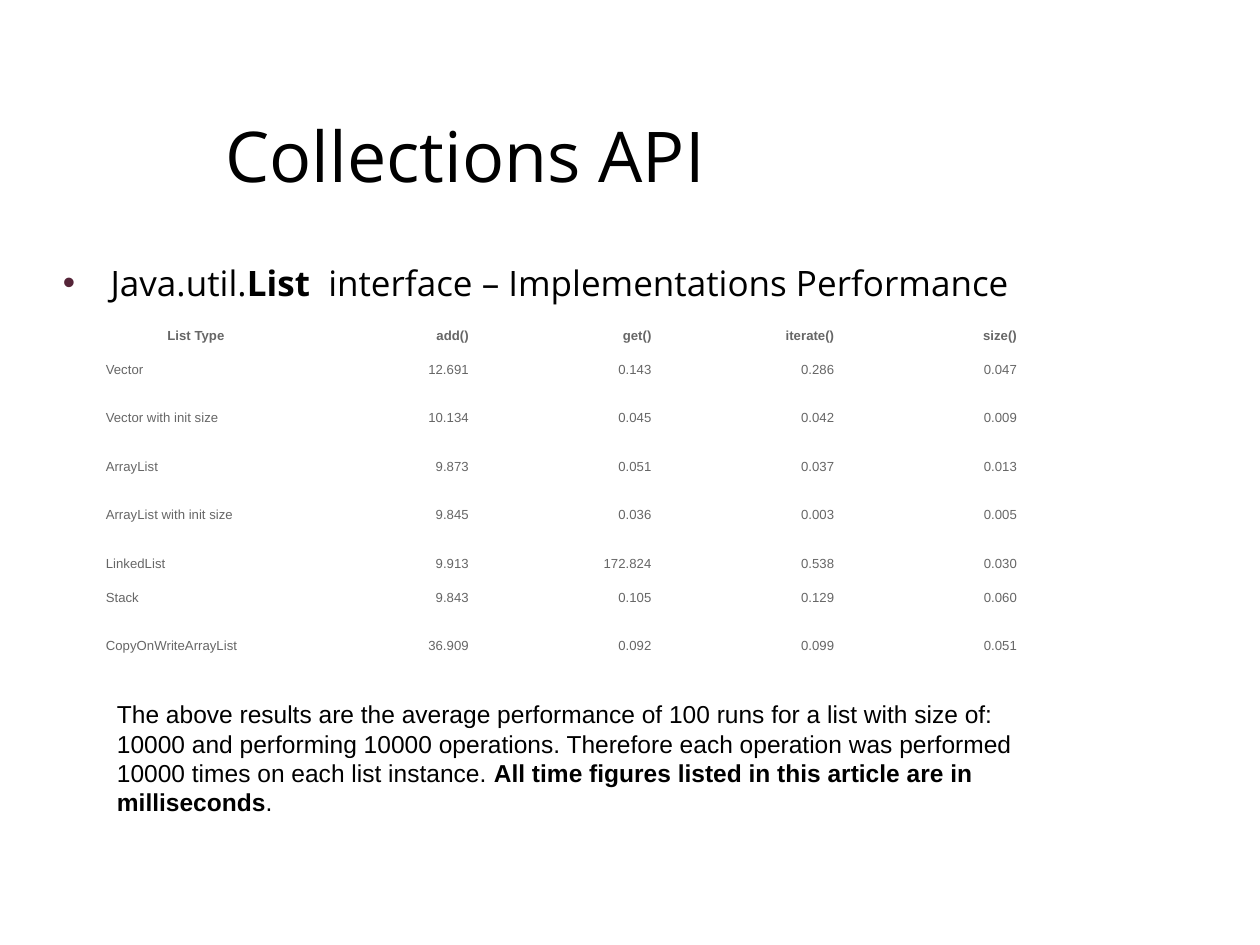
from lxml import etree
from pptx import Presentation
from pptx.dml.color import RGBColor
from pptx.enum import text
from pptx.oxml import ns
from pptx.util import Inches, Pt

BLACK = RGBColor(0x00, 0x00, 0x00)
GRAY = RGBColor(0x66, 0x66, 0x66)
WHITE = RGBColor(0xFF, 0xFF, 0xFF)
PLUM = RGBColor(0x55, 0x24, 0x38)

RESULTS = [
    ("List Type", "add()", "get()", "iterate()", "size()"),
    ("Vector", "12.691", "0.143", "0.286", "0.047"),
    ("Vector with init size", "10.134", "0.045", "0.042", "0.009"),
    ("ArrayList", "9.873", "0.051", "0.037", "0.013"),
    ("ArrayList with init size", "9.845", "0.036", "0.003", "0.005"),
    ("LinkedList", "9.913", "172.824", "0.538", "0.030"),
    ("Stack", "9.843", "0.105", "0.129", "0.060"),
    ("CopyOnWriteArrayList", "36.909", "0.092", "0.099", "0.051"),
]
TALL_ROWS = (2, 4, 7)


def add_span(para, words, size, font, color=BLACK, bold=False):
    span = para.add_run()
    span.text = words
    span.font.size = Pt(size)
    span.font.name = font
    span.font.color.rgb = color
    span.font.bold = bold


deck = Presentation()
deck.slide_width, deck.slide_height = Inches(10), Inches(7.5)
page = deck.slides.add_slide(deck.slide_layouts[5])

# Title
title = page.shapes.title
title.left, title.top = Inches(1.69), Inches(0.6)
title.width, title.height = Inches(8.9), Inches(1.26)
title.text_frame.auto_size = text.MSO_AUTO_SIZE.NONE
title.text_frame.vertical_anchor = text.MSO_ANCHOR.MIDDLE
para = title.text_frame.paragraphs[0]
para.alignment = text.PP_ALIGN.LEFT
add_span(para, "Collections API", 40, "Open Sans")

# Bulleted heading
heading = page.shapes.add_textbox(Inches(0.4), Inches(1.86), Inches(8.9), Inches(2.83))
heading.text_frame.word_wrap = True
para = heading.text_frame.paragraphs[0]
para.line_spacing = 1.5
props = para._p.get_or_add_pPr()
props.set("marL", str(Inches(0.38)))
props.set("indent", str(-Inches(0.38)))
bullet_color = etree.SubElement(props, ns.qn("a:buClr"))
etree.SubElement(bullet_color, ns.qn("a:srgbClr"), val=str(PLUM))
etree.SubElement(props, ns.qn("a:buFont"), typeface="Arial")
etree.SubElement(props, ns.qn("a:buChar"), char="•")
add_span(para, "Java.util.", 20, "Open Sans")
add_span(para, "List  ", 20, "Open Sans", bold=True)
add_span(para, "interface – Implementations Performance", 20, "Open Sans")

# Timing table
table = page.shapes.add_table(
    len(RESULTS), len(RESULTS[0]), Inches(0.83), Inches(2.5), Inches(7.25), Inches(2.85)
).table
table.first_row = False
table.horz_banding = False
for column in table.columns:
    column.width = Inches(1.45)
for r, values in enumerate(RESULTS):
    table.rows[r].height = Inches(0.5 if r in TALL_ROWS else 0.27)
    for c, value in enumerate(values):
        cell = table.cell(r, c)
        cell.fill.solid()
        cell.fill.fore_color.rgb = WHITE
        cell.vertical_anchor = text.MSO_ANCHOR.MIDDLE
        cell.margin_left = cell.margin_right = Inches(0.01)
        cell.margin_top = cell.margin_bottom = Inches(0.01)
        para = cell.text_frame.paragraphs[0]
        para.line_spacing = Pt(12.5)
        if c > 0:
            para.alignment = text.PP_ALIGN.RIGHT
        elif r == 0:
            para.alignment = text.PP_ALIGN.CENTER
        else:
            para.alignment = text.PP_ALIGN.LEFT
        add_span(para, value, 7.5, "Arial", GRAY, bold=r == 0)

# Explanation below the table
note = page.shapes.add_textbox(Inches(0.83), Inches(5.5), Inches(7.33), Inches(1.28))
note.text_frame.word_wrap = True
para = note.text_frame.paragraphs[0]
add_span(
    para,
    "The above results are the average performance of 100 runs for a list with size of: "
    "10000 and performing 10000 operations. Therefore each operation was performed "
    "10000 times on each list instance. ",
    14,
    "Arial",
)
add_span(para, "All time figures listed in this article are in milliseconds", 14, "Arial", bold=True)
add_span(para, ".", 14, "Arial")

deck.save("out.pptx")
